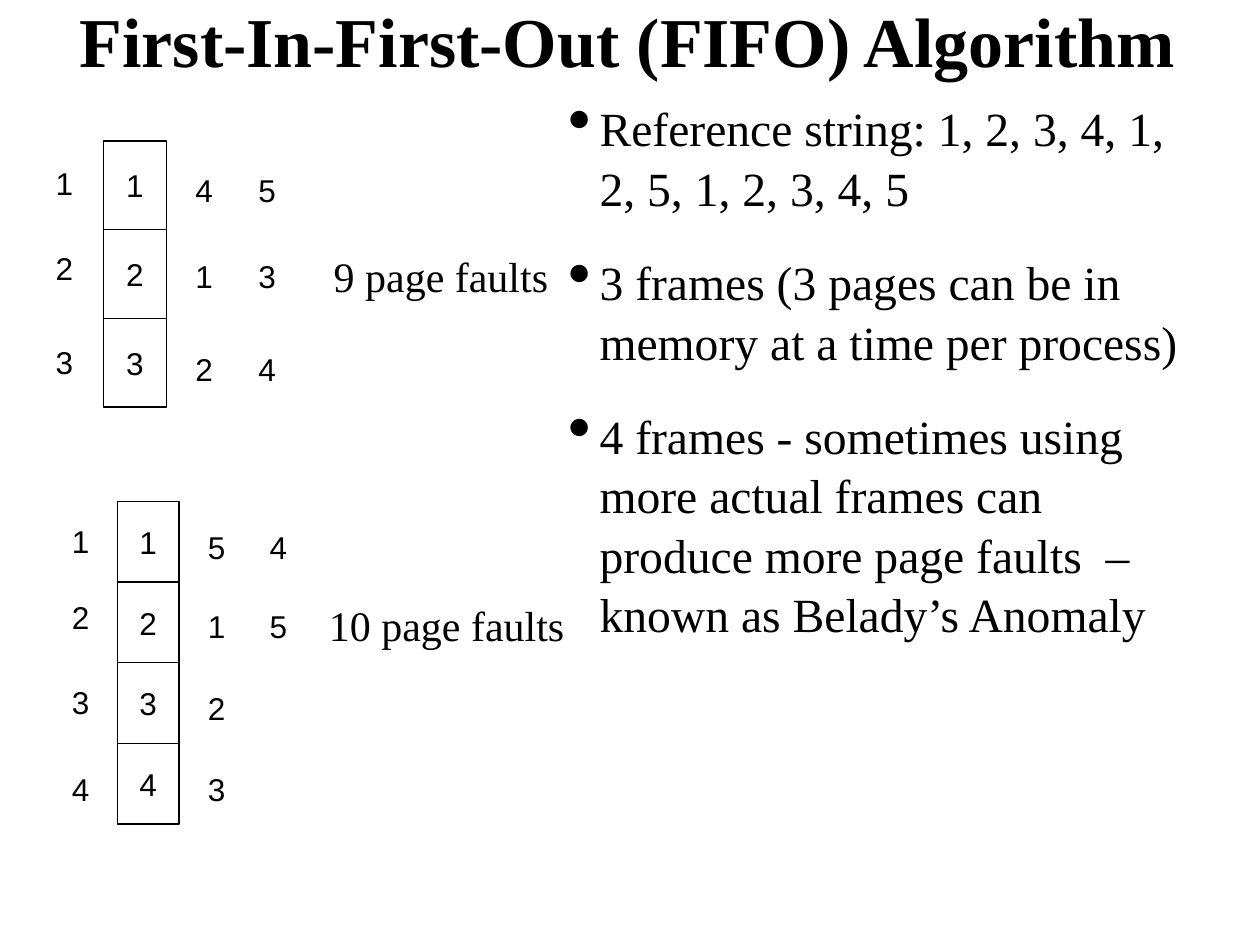
from pptx import Presentation
from pptx import util as u
from pptx.dml.color import RGBColor
from pptx.enum import shapes, text
from pptx.oxml.ns import qn
from lxml import etree

COLORS = {"ink": "000000", "paper": "FFFFFF"}
TITLE = {"size": u.Pt(40), "name": "Times New Roman", "bold": True}
BODY = {"size": u.Pt(27.2), "name": "Times New Roman"}
RESULT = {"size": u.Pt(24), "name": "Times New Roman"}
NUMBER = {"size": u.Pt(18), "name": "Arial"}

POINTS = [
    "Reference string: 1, 2, 3, 4, 1, 2, 5, 1, 2, 3, 4, 5",
    "3 frames (3 pages can be in memory at a time per process)",
    "4 frames - sometimes using more actual frames can  produce "
    "more page faults  – known as Belady’s Anomaly",
]

THREE_FRAMES = {
    "box": (0.82, 1.12, 0.5, 2.11),
    "label_left": 0.34,
    "label_tops": [1.25, 1.93, 2.67],
    "page_tops": [1.31, 1.99, 2.73],
    "pages": {1.45: "412", 1.95: "534"},
    "result": ("9 page faults", 2.55, 1.94, 1.9),
}
FOUR_FRAMES = {
    "box": (0.93, 3.98, 0.49, 2.56),
    "label_left": 0.47,
    "label_tops": [4.09, 4.7, 5.37, 6.06],
    "page_tops": [4.14, 4.77, 5.42, 6.06],
    "pages": {1.55: "5123", 2.04: "45"},
    "result": ("10 page faults", 2.51, 4.71, 2.07),
}


def rgb(name):
    return RGBColor.from_string(COLORS[name])


def set_font(font, fmt):
    for key, value in fmt.items():
        setattr(font, key, value)
    font.color.rgb = rgb("ink")


def write(sp, content, fmt, wrap=False):
    tf = sp.text_frame
    tf.word_wrap = wrap
    tf.vertical_anchor = text.MSO_ANCHOR.MIDDLE
    p = tf.paragraphs[0]
    p.alignment = text.PP_ALIGN.CENTER
    r = p.add_run()
    r.text = content
    set_font(r.font, fmt)


def add_text(s, content, left, top, width, height, fmt, wrap=False):
    sp = s.shapes.add_textbox(*map(u.Inches, (left, top, width, height)))
    write(sp, content, fmt, wrap)


def add_number(s, content, left, top):
    add_text(s, content, left, top, 0.34, 0.4, NUMBER)


def add_frame(s, content, left, top, width, height):
    sp = s.shapes.add_shape(shapes.MSO_SHAPE.RECTANGLE,
                            *map(u.Inches, (left, top, width, height)))
    sp.shadow.inherit = False
    sp.fill.solid()
    sp.fill.fore_color.rgb = rgb("paper")
    sp.line.color.rgb = rgb("ink")
    sp.line.width = u.Pt(0.75)
    write(sp, content, NUMBER)


def add_bullet(p):
    pPr = p._p.get_or_add_pPr()
    pPr.set("marL", str(u.Inches(0.25)))
    pPr.set("indent", str(u.Inches(-0.25)))
    color = etree.SubElement(pPr, qn("a:buClr"))
    etree.SubElement(color, qn("a:srgbClr"), val=COLORS["ink"])
    etree.SubElement(pPr, qn("a:buSzPct"), val="140000")
    etree.SubElement(pPr, qn("a:buChar"), char="•")


def add_points(s, points, left, top, width, height):
    sp = s.shapes.add_textbox(*map(u.Inches, (left, top, width, height)))
    tf = sp.text_frame
    tf.word_wrap = True
    for i, point in enumerate(points):
        p = tf.add_paragraph() if i else tf.paragraphs[0]
        add_bullet(p)
        p.line_spacing = 1.04
        if i:
            p.space_before = u.Pt(20)
        r = p.add_run()
        r.text = point
        set_font(r.font, BODY)


def add_memory(s, memory):
    left, top, width, total = memory["box"]
    height = total / len(memory["label_tops"])
    for i, label_top in enumerate(memory["label_tops"]):
        number = str(i + 1)
        add_frame(s, number, left, top + i * height, width, height)
        add_number(s, number, memory["label_left"], label_top)
    for page_left, pages in memory["pages"].items():
        for page, page_top in zip(pages, memory["page_tops"]):
            add_number(s, page, page_left, page_top)
    add_text(s, *memory["result"], 0.5, RESULT)


def main():
    prs = Presentation()
    prs.slide_width, prs.slide_height = u.Inches(10), u.Inches(7.5)
    s = prs.slides.add_slide(prs.slide_layouts[6])
    add_text(s, "First-In-First-Out (FIFO) Algorithm",
             0.34, 0, 9.28, 0.63, TITLE, wrap=True)
    add_points(s, POINTS, 4.41, 0.72, 5.28, 4.5)
    for memory in (THREE_FRAMES, FOUR_FRAMES):
        add_memory(s, memory)
    prs.save("out.pptx")


if __name__ == "__main__":
    main()
